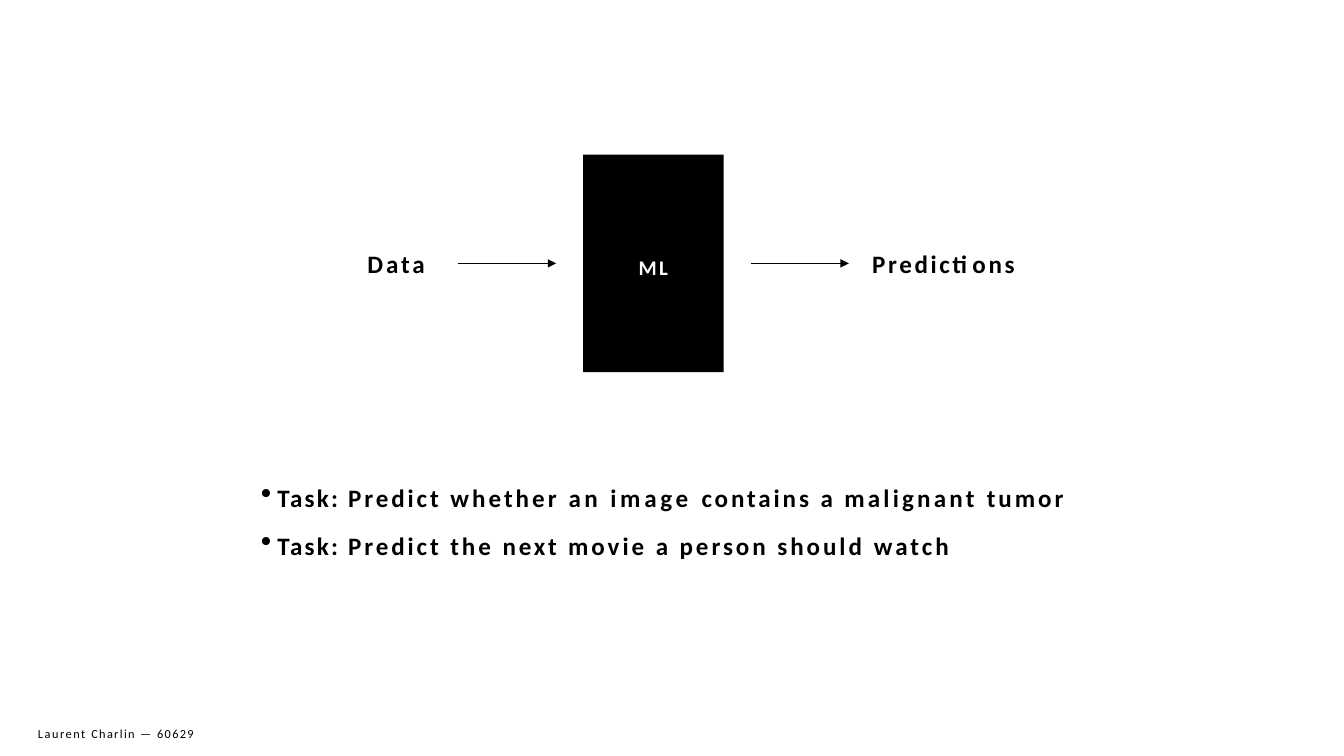
"""Build a slide showing machine learning as a black box between data and predictions."""
import dataclasses

import pptx
import pptx.dml.color
import pptx.enum.shapes
import pptx.enum.text
import pptx.oxml
import pptx.oxml.ns
import pptx.util

PX = 9144
MIDDLE = pptx.enum.text.MSO_ANCHOR.MIDDLE
TOP = pptx.enum.text.MSO_ANCHOR.TOP
CENTER = pptx.enum.text.PP_ALIGN.CENTER
LEFT = pptx.enum.text.PP_ALIGN.LEFT


@dataclasses.dataclass(frozen=True)
class Theme:
    font: str = "Calibri"
    ink: str = "000000"
    paper: str = "FFFFFF"
    body: float = 29.5
    box: float = 24.5
    footer: float = 14.5
    line: float = 1.65
    bullet_gap: float = 20.9


def rgb(color):
    return pptx.dml.color.RGBColor.from_string(color)


def add_xml(parent, tag, **attrs):
    child = pptx.oxml.parse_xml(f"<a:{tag} {pptx.oxml.ns.nsdecls('a')}/>")
    for name, value in attrs.items():
        child.set(name, str(value))
    parent.append(child)
    return child


class SlideBuilder:
    def __init__(self, prs, theme):
        self.theme = theme
        self.s = prs.slides.add_slide(prs.slide_layouts[6])
        fill = self.s.background.fill
        fill.solid()
        fill.fore_color.rgb = rgb(theme.paper)

    def frame(self, sp, top=0, anchor=TOP):
        tf = sp.text_frame
        values = dict(margin_left=0, margin_right=0, margin_bottom=0,
                      margin_top=top * PX, word_wrap=True, vertical_anchor=anchor)
        for name, value in values.items():
            setattr(tf, name, value)
        return tf

    def runs(self, p, parts, size, color, bold, align=LEFT):
        p.alignment = align
        for text, spacing in parts:
            r = p.add_run()
            r.text = text
            values = dict(name=self.theme.font, size=pptx.util.Pt(size), bold=bold)
            for name, value in values.items():
                setattr(r.font, name, value)
            r.font.color.rgb = rgb(color)
            r.font._element.set("spc", str(round(spacing * 100)))

    def text(self, x, y, w, h, parts, size, bold=True):
        sp = self.s.shapes.add_textbox(x * PX, y * PX, w * PX, h * PX)
        tf = self.frame(sp, top=3)
        self.runs(tf.paragraphs[0], parts, size, self.theme.ink, bold)

    def box(self, x, y, w, h, parts):
        kind = pptx.enum.shapes.MSO_SHAPE.RECTANGLE
        sp = self.s.shapes.add_shape(kind, x * PX, y * PX, w * PX, h * PX)
        sp.shadow.inherit = False
        sp.fill.solid()
        sp.fill.fore_color.rgb = rgb(self.theme.ink)
        sp.line.fill.background()
        tf = self.frame(sp, top=12, anchor=MIDDLE)
        self.runs(tf.paragraphs[0], parts, self.theme.box, self.theme.paper, True, CENTER)

    def arrow(self, x, y, length):
        kind = pptx.enum.shapes.MSO_CONNECTOR.STRAIGHT
        sp = self.s.shapes.add_connector(kind, x * PX, y * PX, (x + length) * PX, y * PX)
        sp.line.width = pptx.util.Pt(self.theme.line)
        sp.line.color.rgb = rgb(self.theme.ink)
        add_xml(sp.line._get_or_add_ln(), "tailEnd", type="triangle", w="lg", len="lg")
        add_xml(sp._element.spPr, "effectLst")

    def bullets(self, x, y, w, h, items, indent):
        sp = self.s.shapes.add_textbox(x * PX, y * PX, w * PX, h * PX)
        tf = self.frame(sp, top=7)
        for i, parts in enumerate(items):
            p = tf.paragraphs[0]
            if i:
                p = tf.add_paragraph()
                p.space_before = pptx.util.Pt(self.theme.bullet_gap)
            pPr = p._p.get_or_add_pPr()
            pPr.set("marL", str(indent * PX))
            pPr.set("indent", str(-indent * PX))
            add_xml(pPr, "buSzPct", val=124000)
            add_xml(pPr, "buChar", char="•")
            add_xml(add_xml(pPr, "tabLst"), "tab", pos=indent * PX, algn="l")
            self.runs(p, parts, self.theme.body, self.theme.ink, True)


TASKS = [
    [("Task: ", 2.6), ("Predict ", 3.4), ("whether ", 3.6), ("an ", 4), ("image ", 4.4),
     ("contains ", 3.4), ("a ", 3.3), ("malignant ", 3.8), ("tumor", 3.5)],
    [("Task: ", 2.6), ("Predict ", 3.4), ("the ", 3.5), ("next ", 3.3), ("movie ", 3.5),
     ("a ", 3.3), ("person should ", 3.5), ("watch", 3.6)],
]
FOOTER = [("Laurent ", 1.8), ("Charlin ", 1.6), ("— ", 1.7), ("60629", 1.6)]


def main():
    prs = pptx.Presentation()
    prs.slide_width, prs.slide_height = 2199 * PX, 1237 * PX
    theme = Theme()
    slide = SlideBuilder(prs, theme)
    slide.text(601, 403, 120, 52, [("Data", 3.5)], theme.body)
    slide.box(954, 253, 230, 356, [("ML", 2.9)])
    for x in (749, 1228):
        slide.arrow(x, 431, 161)
    slide.text(1427, 403, 260, 52, [("Predictions", 3.1)], theme.body)
    slide.bullets(427, 782, 1340, 179, TASKS, 27)
    slide.text(62, 1185, 270, 28, FOOTER, theme.footer, bold=False)
    prs.save("out.pptx")


if __name__ == "__main__":
    main()
